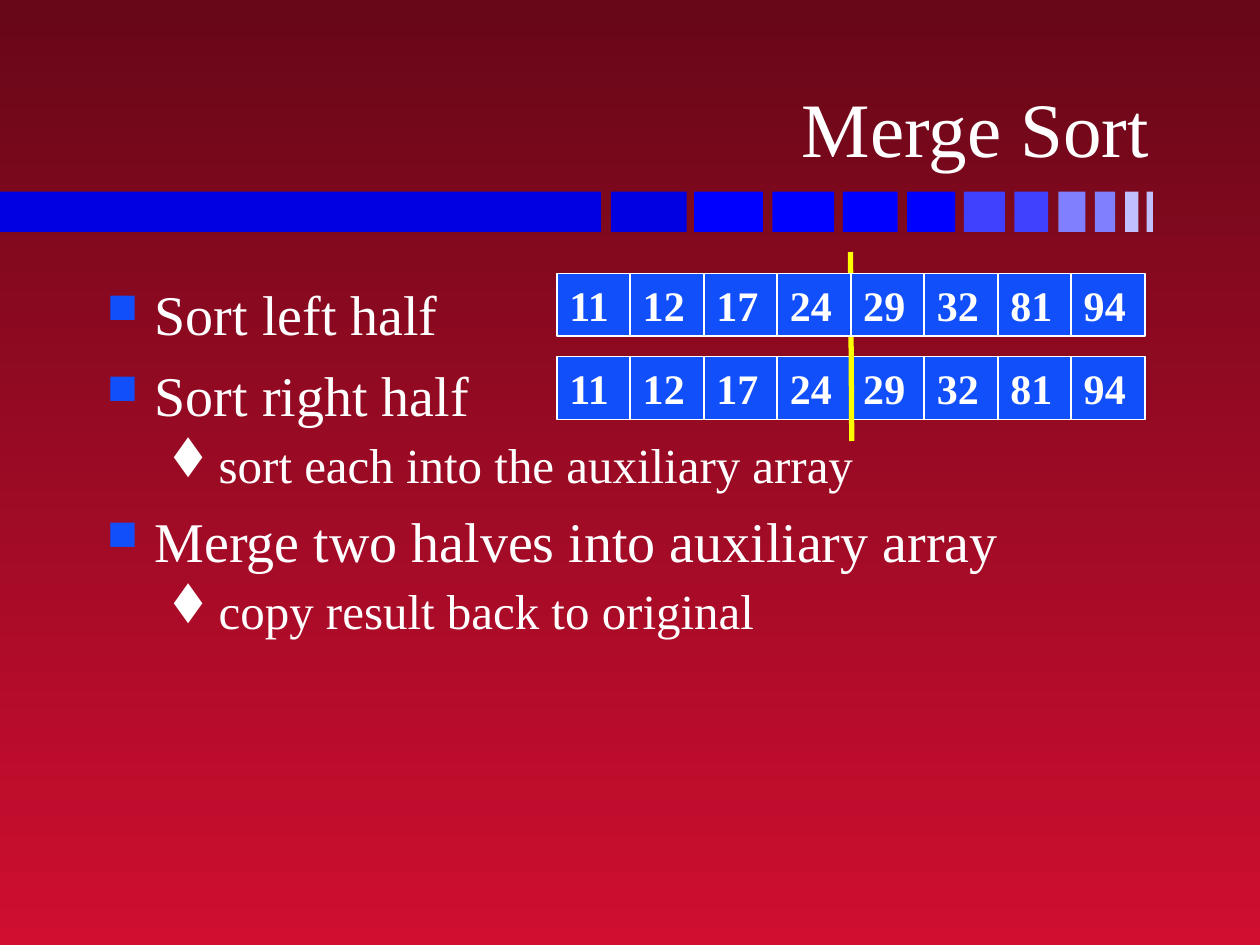
from dataclasses import dataclass

from lxml.etree import SubElement
from pptx import Presentation
from pptx.dml.color import RGBColor
from pptx.enum.shapes import MSO_CONNECTOR, MSO_SHAPE
from pptx.enum.text import MSO_ANCHOR, MSO_AUTO_SIZE, PP_ALIGN
from pptx.oxml.ns import qn
from pptx.util import Inches, Pt


@dataclass(frozen=True)
class Theme:
    font: str = "Times New Roman"
    bullet_font: str = "Wingdings"
    text: str = "FFFFFF"
    accent: str = "114FFB"
    divider: str = "FFFF00"
    background: tuple = ("670718", "CF0E30")
    title_size: int = 44
    cell_size: int = 24
    # Per outline level: size, space before, indent, hang, bullet, colour, bullet %
    # In the bullet font, n is a square and t a lozenge
    levels: tuple = (
        (32, 8, 0.38, 0.38, "n", "114FFB", 75),
        (28, 3.5, 0.81, 0.31, "t", "FFFFFF", 100),
    )


def rgb(value):
    return RGBColor.from_string(value)


class SlideBuilder:
    def __init__(self, slide, theme):
        self.slide = slide
        self.theme = theme

    def background(self):
        fill = self.slide.background.fill
        fill.gradient()
        fill.gradient_angle = 270
        for stop, color in zip(fill.gradient_stops, self.theme.background):
            stop.color.rgb = rgb(color)

    def style(self, paragraph, size, bold=False):
        font = paragraph.font
        font.name, font.size, font.bold = self.theme.font, Pt(size), bold
        font.color.rgb = rgb(self.theme.text)

    def title(self, text, left, top, width, height):
        title = self.slide.shapes.title
        title.left, title.top = Inches(left), Inches(top)
        title.width, title.height = Inches(width), Inches(height)
        frame = title.text_frame
        frame.text = text
        frame.auto_size = MSO_AUTO_SIZE.NONE
        frame.vertical_anchor = MSO_ANCHOR.BOTTOM
        frame.paragraphs[0].alignment = PP_ALIGN.RIGHT
        self.style(frame.paragraphs[0], self.theme.title_size)

    def rectangle(self, parent, left, top, width, height, color):
        box = parent.shapes.add_shape(
            MSO_SHAPE.RECTANGLE,
            Inches(left), Inches(top), Inches(width), Inches(height))
        box.shadow.inherit = False
        box.fill.solid()
        box.fill.fore_color.rgb = rgb(color)
        box.line.fill.background()
        return box

    def band(self, top, height, blocks):
        group = self.slide.shapes.add_group_shape()
        for left, width, color in blocks:
            self.rectangle(group, left, top, width, height, color)

    def array(self, values, left, top, pitch, height):
        group = self.slide.shapes.add_group_shape()
        for index, value in enumerate(values):
            cell = self.rectangle(
                group, left + index * pitch, top, pitch, height, self.theme.accent)
            cell.line.color.rgb = rgb(self.theme.text)
            cell.line.width = Pt(1)
            frame = cell.text_frame
            frame.text = str(value)
            frame.word_wrap = False
            frame.vertical_anchor = MSO_ANCHOR.MIDDLE
            frame.paragraphs[0].alignment = PP_ALIGN.LEFT
            self.style(frame.paragraphs[0], self.theme.cell_size, bold=True)

    def divider(self, start, end):
        line = self.slide.shapes.add_connector(
            MSO_CONNECTOR.STRAIGHT, *map(Inches, start + end))
        line.line.color.rgb = rgb(self.theme.divider)
        line.line.width = Pt(3)
        SubElement(line._element.spPr, qn("a:effectLst"))

    def outline(self, items, left, top, width, height):
        frame = self.slide.shapes.add_textbox(
            Inches(left), Inches(top), Inches(width), Inches(height)).text_frame
        frame.word_wrap = True
        for index, (level, text) in enumerate(items):
            paragraph = frame.add_paragraph() if index else frame.paragraphs[0]
            paragraph.text = text
            paragraph.level = level
            size, before, indent, hang, bullet, color, percent = self.theme.levels[level]
            # Hanging indent and coloured symbol bullet
            properties = paragraph._p.get_or_add_pPr()
            properties.set("marL", str(Inches(indent)))
            properties.set("indent", str(-Inches(hang)))
            bullet_color = SubElement(properties, qn("a:buClr"))
            SubElement(bullet_color, qn("a:srgbClr"), val=color)
            SubElement(properties, qn("a:buSzPct"), val=str(percent * 1000))
            SubElement(properties, qn("a:buFont"), typeface=self.theme.bullet_font,
                       pitchFamily="2", charset="2")
            SubElement(properties, qn("a:buChar"), char=bullet)
            paragraph.space_before = Pt(before if index else 0)
            self.style(paragraph, size)


def main():
    deck = Presentation()
    deck.slide_width, deck.slide_height = Inches(10), Inches(7.5)
    page = SlideBuilder(deck.slides.add_slide(deck.slide_layouts[5]), Theme())
    page.background()

    # Title and the fading band below it: each block is narrower than the last
    page.title("Merge Sort", 0.74, 0.19, 8.48, 1.23)
    lefts = (4.85, 5.51, 6.13, 6.69, 7.2, 7.65, 8.05, 8.4, 8.69, 8.93, 9.1)
    colors = (["0000E0"] + ["0000FF"] * 4 + ["4040FF"] * 2
              + ["8080FF"] * 2 + ["C0C0FF"] * 2)
    blocks = [(0, 4.77, "0000E0")]
    for index, (left, color) in enumerate(zip(lefts, colors)):
        blocks.append((left, 0.6 - 0.11 * index / 2, color))
    page.band(1.52, 0.32, blocks)

    # Steps of the algorithm
    page.outline([
        (0, "Sort left half"),
        (0, "Sort right half"),
        (1, "sort each into the auxiliary array"),
        (0, "Merge two halves into auxiliary array"),
        (1, "copy result back to original"),
    ], 0.75, 2.17, 8.5, 4.5)

    # Auxiliary array, the line between the halves, original array on top
    values = (11, 12, 17, 24, 29, 32, 81, 94)
    left, pitch, height = 4.42, 7 / 12, 0.5
    page.array(values, left, 2.83, pitch, height)
    page.divider((6.75, 2), (6.76, 3.5))
    page.array(values, left, 2.17, pitch, height)

    deck.save("out.pptx")


if __name__ == "__main__":
    main()
